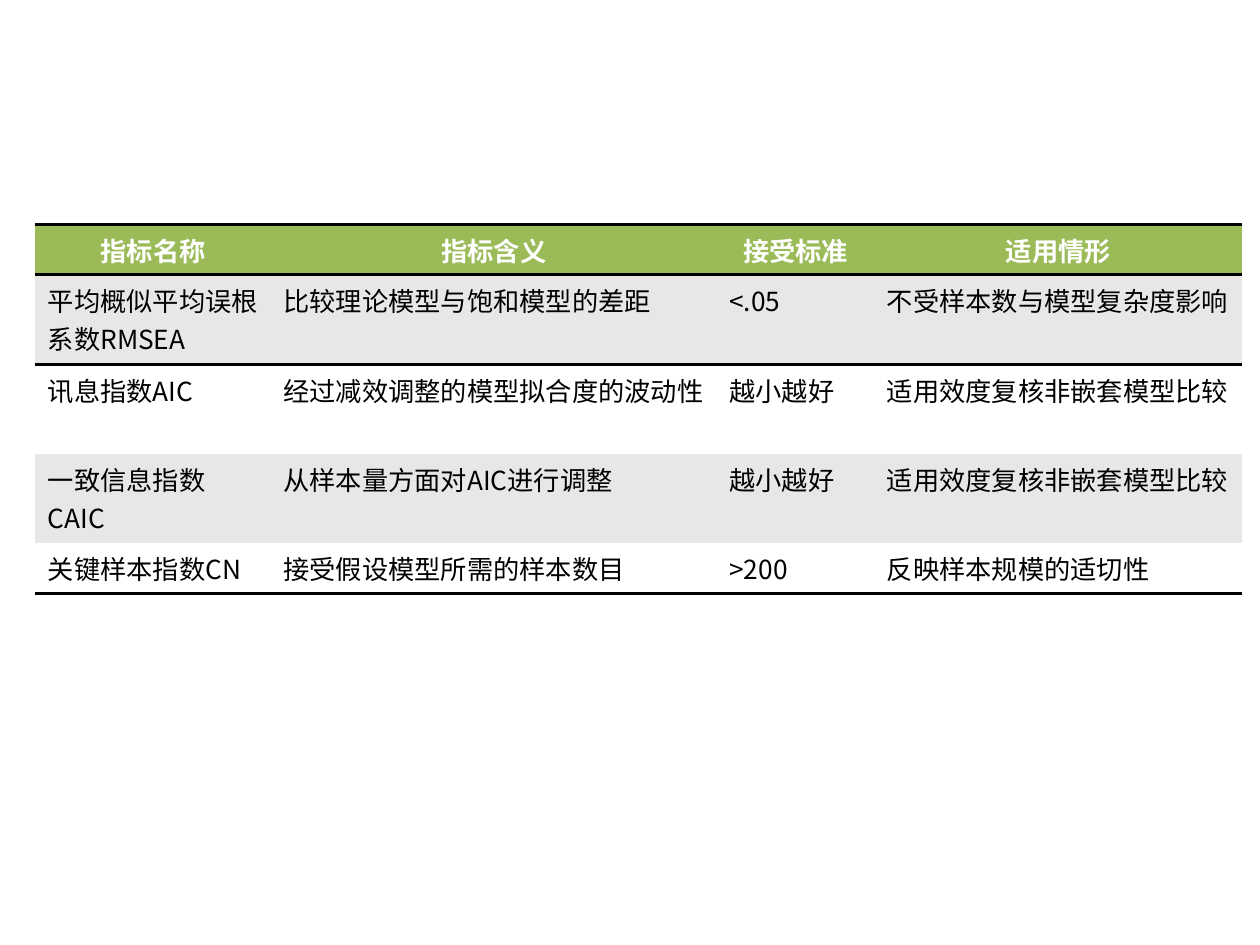
import lxml.etree
import pptx
import pptx.dml.color
import pptx.enum.text
import pptx.oxml.ns
import pptx.util

Inches, Pt = pptx.util.Inches, pptx.util.Pt
RGB = pptx.dml.color.RGBColor.from_string
qn = pptx.oxml.ns.qn

THEME = {
    "font": "Noto Sans CJK SC", "size": 15,
    "header_fill": "9BBB59", "header_text": "FFFFFF",
    "bands": ["FFFFFF", "E7E7E7"], "text": "000000",
    "rule": "000000", "rule_width": 2,
}
NO_STYLE = "{2D5ABB26-0587-4C30-8999-92F81FD0307C}"
COLUMNS = [1.87, 3.54, 1.25, 2.92]
ONE_LINE, TWO_LINES = 0.4, 0.71
ROWS = [ONE_LINE, TWO_LINES, TWO_LINES, TWO_LINES, ONE_LINE]
INDICES = [
    ["指标名称", "指标含义", "接受标准", "适用情形"],
    ["平均概似平均误根系数RMSEA", "比较理论模型与饱和模型的差距", "<.05", "不受样本数与模型复杂度影响"],
    ["讯息指数AIC", "经过减效调整的模型拟合度的波动性", "越小越好", "适用效度复核非嵌套模型比较"],
    ["一致信息指数CAIC", "从样本量方面对AIC进行调整", "越小越好", "适用效度复核非嵌套模型比较"],
    ["关键样本指数CN", "接受假设模型所需的样本数目", ">200", "反映样本规模的适切性"],
]


def add_rule(cell, edge):
    """Draw a solid line on one edge of a cell: lnT or lnB."""
    line = lxml.etree.SubElement(cell._tc.get_or_add_tcPr(), qn(f"a:{edge}"),
                                 w=str(Pt(THEME["rule_width"])))
    fill = lxml.etree.SubElement(line, qn("a:solidFill"))
    lxml.etree.SubElement(fill, qn("a:srgbClr"), val=THEME["rule"])


deck = pptx.Presentation()
deck.slide_width, deck.slide_height = Inches(10), Inches(7.5)
slide = deck.slides.add_slide(deck.slide_layouts[6])

table = slide.shapes.add_table(
    len(ROWS), len(COLUMNS), Inches(0.28), Inches(1.78),
    Inches(sum(COLUMNS)), Inches(sum(ROWS))).table
table._tbl.tblPr.find(qn("a:tableStyleId")).text = NO_STYLE
table.horz_banding = False
for column, width in zip(table.columns, COLUMNS):
    column.width = Inches(width)
for row, height in zip(table.rows, ROWS):
    row.height = Inches(height)

for r, entries in enumerate(INDICES):
    is_header = r == 0
    for c, entry in enumerate(entries):
        cell = table.cell(r, c)
        cell.margin_left = cell.margin_right = Inches(0.1)
        cell.margin_top = cell.margin_bottom = Inches(0.05)
        if r <= 1:
            add_rule(cell, "lnT")
        if is_header or r == len(ROWS) - 1:
            add_rule(cell, "lnB")
        cell.fill.solid()
        cell.fill.fore_color.rgb = RGB(
            THEME["header_fill"] if is_header else THEME["bands"][r % 2])

        cell.text = entry
        paragraph = cell.text_frame.paragraphs[0]
        if is_header:
            paragraph.alignment = pptx.enum.text.PP_ALIGN.CENTER
        font = paragraph.font
        font.name, font.size, font.bold = THEME["font"], Pt(THEME["size"]), is_header
        font.color.rgb = RGB(THEME["header_text" if is_header else "text"])
        defaults = paragraph._p.pPr.find(qn("a:defRPr"))
        lxml.etree.SubElement(defaults, qn("a:ea"), typeface=THEME["font"])

deck.save("out.pptx")
